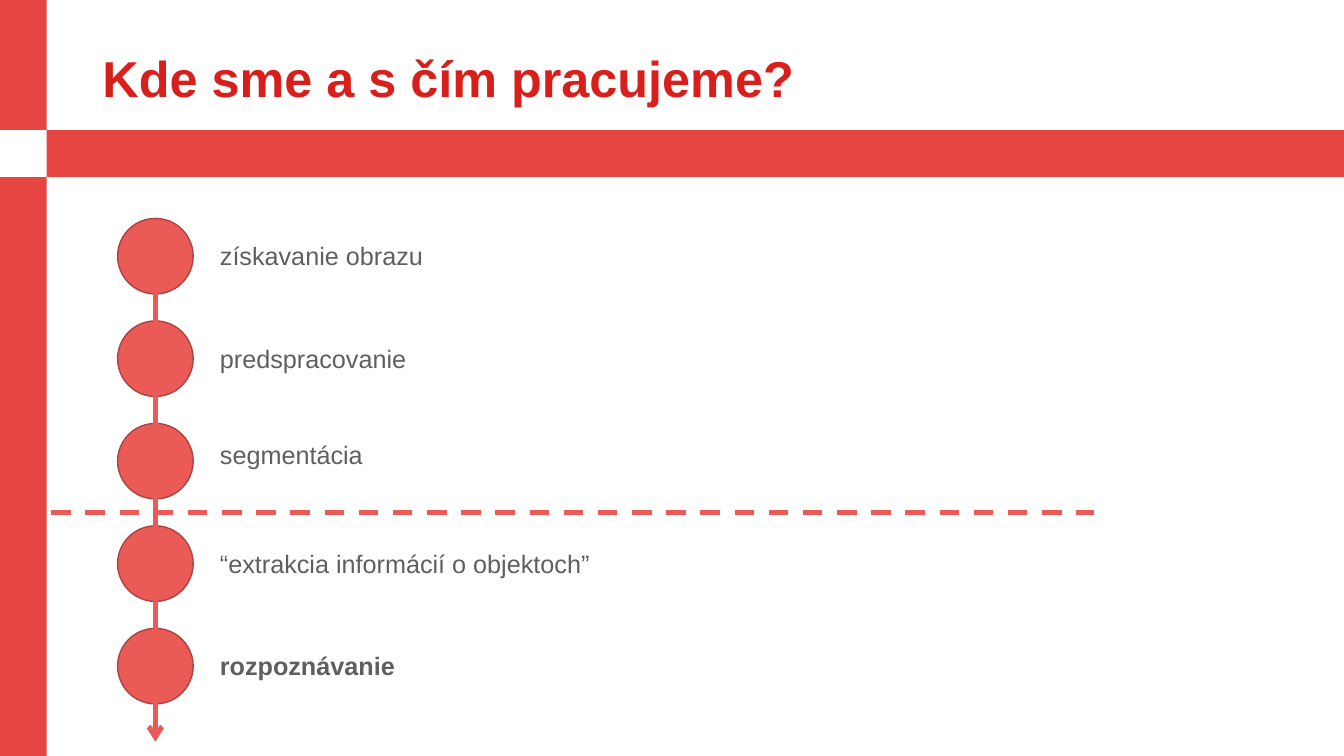
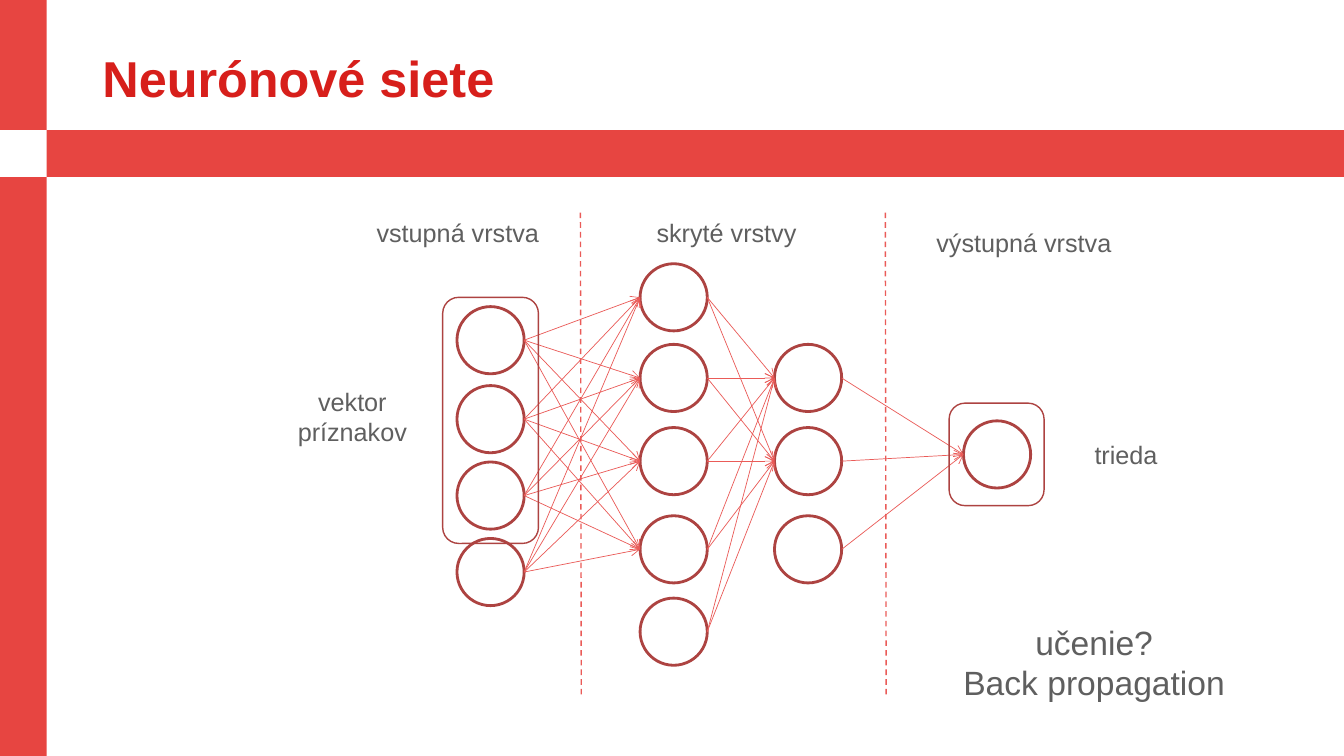
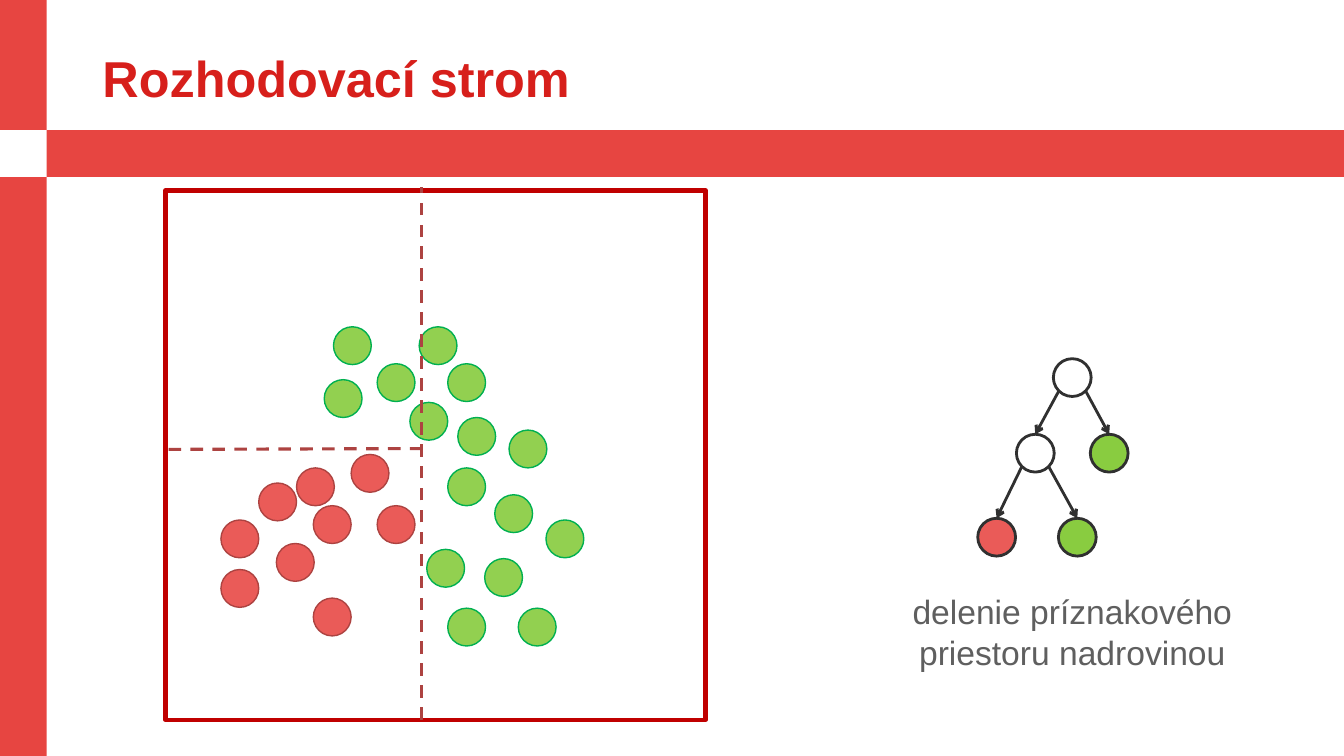
import dataclasses
import itertools
import typing

import lxml.etree
import pptx
import pptx.dml.color
import pptx.enum.dml
import pptx.enum.shapes
import pptx.enum.text
import pptx.oxml.ns
import pptx.presentation
import pptx.shapes.autoshape
import pptx.shapes.connector
import pptx.slide
import pptx.util

Color = pptx.dml.color.RGBColor
Kind = pptx.enum.shapes.MSO_SHAPE
Align = pptx.enum.text.PP_ALIGN
Point = tuple[float, float]
Auto = pptx.shapes.autoshape.Shape

# The slide is a grid of square cells
COLS, ROWS = 160, 90
CELL = pptx.util.Pt(6)


@dataclasses.dataclass(frozen=True)
class Theme:
    font: str = "Arial"
    head: float = 36
    large: float = 24
    text: float = 18
    title: Color = Color.from_string("D71F1B")
    band: Color = Color.from_string("E74541")
    white: Color = Color.from_string("FFFFFF")
    gray: Color = Color.from_string("5F5F5F")
    coral: Color = Color.from_string("EA5B58")
    brick: Color = Color.from_string("AD4341")
    frame: Color = Color.from_string("C00000")
    lime: Color = Color.from_string("92D050")
    green: Color = Color.from_string("00B050")
    leaf: Color = Color.from_string("89CC40")
    ink: Color = Color.from_string("303030")


THEME = Theme()


class Box(typing.NamedTuple):
    left: float
    top: float
    width: float
    height: float


class Look(typing.NamedTuple):
    fill: Color | None
    line: Color | None = None
    weight: float = 1


class Stroke(typing.NamedTuple):
    color: Color
    weight: float
    dash: bool = False
    arrow: bool = False


class Step(typing.NamedTuple):
    text: str
    drop: float = 2.05
    bold: bool = False


class Layer(typing.NamedTuple):
    left: float
    tops: tuple[float, ...]
    fed: int  # neurons with incoming arrows


class Label(typing.NamedTuple):
    text: str
    box: Box
    size: float = THEME.text


class Node(typing.NamedTuple):
    left: float
    top: float
    fill: Color
    kids: tuple[int, ...] = ()


# Shared drawing tools

def cells(*counts: float) -> list[pptx.util.Emu]:
    return [pptx.util.Emu(round(count * CELL)) for count in counts]


def shape(slide: pptx.slide.Slide, kind: Kind, box: Box, look: Look) -> Auto:
    item = slide.shapes.add_shape(kind, *cells(*box))
    item.shadow.inherit = False
    if look.fill is None:
        item.fill.background()
    else:
        item.fill.solid()
        item.fill.fore_color.rgb = look.fill
    if look.line is None:
        item.line.fill.background()
    else:
        item.line.color.rgb = look.line
        item.line.width = pptx.util.Pt(look.weight)
    return item


def disc(slide: pptx.slide.Slide, left: float, top: float, size: float, look: Look) -> Auto:
    return shape(slide, Kind.OVAL, Box(left, top, size, size), look)


def line(slide: pptx.slide.Slide, start: Point, end: Point,
         stroke: Stroke) -> pptx.shapes.connector.Connector:
    item = slide.shapes.add_connector(
        pptx.enum.shapes.MSO_CONNECTOR.STRAIGHT, *cells(*start, *end))
    item.line.color.rgb = stroke.color
    item.line.width = pptx.util.Pt(stroke.weight)
    if stroke.dash:
        item.line.dash_style = pptx.enum.dml.MSO_LINE.DASH
    props = item.element.spPr
    name = pptx.oxml.ns.qn
    if stroke.arrow:
        lxml.etree.SubElement(props.find(name("a:ln")), name("a:tailEnd"), type="arrow")
    lxml.etree.SubElement(props, name("a:effectLst"))
    return item


def style(frame: pptx.text.text.TextFrame, size: float, color: Color,
          align: Align, bold: bool = False) -> None:
    for part in frame.paragraphs:
        part.alignment = align
        part.font.name = THEME.font
        part.font.size = pptx.util.Pt(size)
        part.font.color.rgb = color
        part.font.bold = bold


def write(slide: pptx.slide.Slide, label: Label, align: Align = Align.CENTER,
          bold: bool = False) -> None:
    frame = slide.shapes.add_textbox(*cells(*label.box)).text_frame
    frame.word_wrap = True
    frame.auto_size = pptx.enum.text.MSO_AUTO_SIZE.SHAPE_TO_FIT_TEXT
    frame.text = label.text
    style(frame, label.size, THEME.gray, align, bold)


def start(deck: pptx.presentation.Presentation, text: str) -> pptx.slide.Slide:
    slide = deck.slides.add_slide(deck.slide_layouts.get_by_name("Title Only"))
    title = slide.shapes.title
    title.left, title.top, title.width, title.height = cells(11, 4.2, 138, 10.9)
    frame = title.text_frame
    frame.text = text
    frame.auto_size = pptx.enum.text.MSO_AUTO_SIZE.NONE
    frame.vertical_anchor = pptx.enum.text.MSO_ANCHOR.MIDDLE
    frame.paragraphs[0].line_spacing = 0.9
    style(frame, THEME.head, THEME.title, Align.LEFT, bold=True)
    return slide


def brand(deck: pptx.presentation.Presentation, slide: pptx.slide.Slide) -> None:
    """Draw the crossing bands and move them to the back of the master."""
    thick, top = 5.56, 15.5
    bands = (
        (Box(0, 0, thick, ROWS), THEME.band),
        (Box(0, top, COLS, thick), THEME.band),
        (Box(0, top, thick, thick), THEME.white),
    )
    tree = deck.slide_master.shapes.element
    for rank, (box, fill) in enumerate(bands):
        item = shape(slide, Kind.RECTANGLE, box, Look(fill)).element
        item.nvSpPr.cNvPr.set("id", str(100 + rank))
        tree.insert(2 + rank, item)


# Processing steps

STEPS = (
    Step("získavanie obrazu"),
    Step("predspracovanie"),
    Step("segmentácia", drop=1.3),
    Step("“extrakcia informácií o objektoch”"),
    Step("rozpoznávanie", bold=True),
)


def draw_steps(slide: pptx.slide.Slide) -> None:
    left, first, pitch, size = 14, 26, 12.2, 9
    for rank, step in enumerate(STEPS):
        top = first + rank * pitch
        disc(slide, left, top, size, Look(THEME.coral, THEME.brick))
        box = Box(25, top + step.drop, 57.7, 4.8)
        write(slide, Label(step.text, box), Align.LEFT, step.bold)
    axis = left + size / 2
    line(slide, (axis, 31.7), (axis, 88.3), Stroke(THEME.coral, 3.5, arrow=True))
    line(slide, (6.1, 61), (130.2, 61), Stroke(THEME.coral, 3.5, dash=True))


# Neural network

LAYERS = (
    Layer(54.4, (36.5, 45.9, 55, 64.1), 0),
    Layer(76.2, (31.4, 41, 50.9, 61.4, 71.2), 4),
    Layer(92.2, (41, 50.9, 61.4), 2),
    Layer(114.7, (50.1,), 1),
)
GROUPS = (Box(52.7, 35.4, 11.4, 29.3), Box(113, 48, 11.3, 12.2))
LABELS = (
    Label("vektor\npríznakov", Box(32.3, 45.4, 19.3, 8.5)),
    Label("trieda", Box(124.4, 51.7, 19.3, 4.8)),
    Label("učenie?\nBack propagation", Box(108.1, 73.4, 44.3, 10.9), THEME.large),
    Label("vstupná vrstva", Box(42.2, 25.3, 24.6, 4.8)),
    Label("skryté vrstvy", Box(72.7, 25.3, 27.6, 4.8)),
    Label("výstupná vrstva", Box(108.1, 26.5, 27.6, 4.8)),
)


def draw_net(slide: pptx.slide.Slide) -> None:
    size = 8
    for layer in LAYERS:
        for top in layer.tops:
            disc(slide, layer.left, top, size, Look(THEME.white, THEME.brick, 2))
    for near, far in itertools.pairwise(LAYERS):
        for tail, tip in itertools.product(near.tops, far.tops[:far.fed]):
            line(slide, (near.left + size, tail + size / 2), (far.left, tip + size / 2),
                 Stroke(THEME.coral, 0.5, arrow=True))
    for box in GROUPS:
        shape(slide, Kind.ROUNDED_RECTANGLE, box, Look(None, THEME.brick))
    for left in (69.1, 105.4):
        line(slide, (left, 25.3), (left + 0.1, 83), Stroke(THEME.coral, 1, dash=True))
    for label in LABELS:
        write(slide, label)


# Decision tree

REDS = (
    (26.3, 67.8), (32.9, 64.7), (26.3, 61.9), (30.8, 57.5), (37.3, 60.2),
    (35.3, 55.7), (41.8, 54.1), (44.9, 60.2), (37.3, 71.2),
)
GREENS = (
    (53.3, 72.4), (61.7, 72.4), (57.7, 66.5), (50.8, 65.4), (58.9, 58.9),
    (65, 61.9), (53.3, 55.7), (60.6, 51.2), (48.8, 47.9), (54.5, 49.7),
    (44.9, 43.3), (53.3, 43.3), (49.9, 38.9), (38.6, 45.2), (39.7, 38.9),
)
NODES = (
    Node(125.4, 42.7, THEME.white, (1, 2)),
    Node(121, 51.7, THEME.white, (3, 4)),
    Node(129.8, 51.7, THEME.leaf),
    Node(116.4, 61.7, THEME.coral),
    Node(126, 61.7, THEME.leaf),
)


def draw_tree(slide: pptx.slide.Slide) -> None:
    size = 4.5
    half = size / 2
    # Feature space with its two cuts
    shape(slide, Kind.RECTANGLE, Box(19.7, 22.7, 64.3, 63), Look(None, THEME.frame, 3.25))
    for spots, look in ((REDS, Look(THEME.coral, THEME.brick)),
                        (GREENS, Look(THEME.lime, THEME.green))):
        for left, top in spots:
            disc(slide, left, top, size, look)
    cut = Stroke(THEME.brick, 2.25, dash=True)
    line(slide, (50.2, 85.7), (50.2, 22.3), cut)
    line(slide, (50.3, 53.4), (19.7, 53.5), cut)
    # Nodes, then arrows from each lower flank to the child's top
    discs = [disc(slide, node.left, node.top, size, Look(node.fill, THEME.ink, 2))
             for node in NODES]
    flank = half * 0.71
    for node in NODES:
        for side, kid in zip((-1, 1), node.kids):
            tail = (node.left + half + side * flank, node.top + half + flank)
            tip = (NODES[kid].left + half, NODES[kid].top)
            arrow = line(slide, tail, tip, Stroke(THEME.ink, 2, arrow=True))
            arrow.end_connect(discs[kid], 0)
    write(slide, Label("delenie príznakového priestoru nadrovinou",
                       Box(105.5, 69.8, 44.3, 10.9), THEME.large))


PAGES = (
    ("Kde sme a s čím pracujeme?", draw_steps),
    ("Neurónové siete", draw_net),
    ("Rozhodovací strom", draw_tree),
)


def main() -> None:
    deck = pptx.Presentation()
    deck.slide_width, deck.slide_height = cells(COLS, ROWS)
    for title, draw in PAGES:
        draw(start(deck, title))
    brand(deck, deck.slides[0])
    deck.save("out.pptx")


if __name__ == "__main__":
    main()
